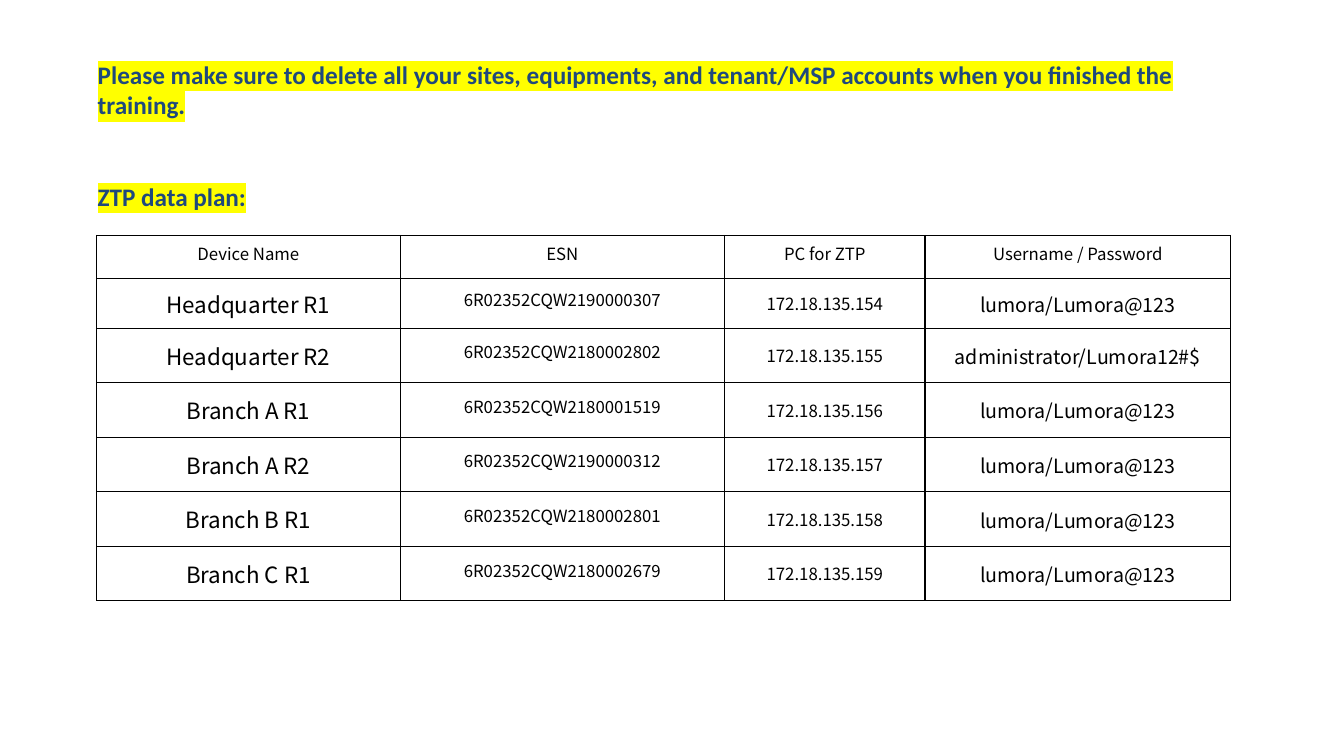
from lxml import etree
from pptx import Presentation
from pptx.dml.color import RGBColor
from pptx.enum.text import MSO_ANCHOR, MSO_AUTO_SIZE, PP_ALIGN
from pptx.oxml.ns import qn
from pptx.util import Pt

LEFT, CENTER = PP_ALIGN.LEFT, PP_ALIGN.CENTER
TOP, MIDDLE = MSO_ANCHOR.TOP, MSO_ANCHOR.MIDDLE
NO_FIT = MSO_AUTO_SIZE.NONE

HEADER = ["Device Name", "ESN", "PC for ZTP", "Username / Password"]
LOGIN = "lumora/Lumora@123"
DEVICES = [
    ("Headquarter R1", "6R02352CQW2190000307", LOGIN),
    ("Headquarter R2", "6R02352CQW2180002802", "administrator/Lumora12#$"),
    ("Branch A R1", "6R02352CQW2180001519", LOGIN),
    ("Branch A R2", "6R02352CQW2190000312", LOGIN),
    ("Branch B R1", "6R02352CQW2180002801", LOGIN),
    ("Branch C R1", "6R02352CQW2180002679", LOGIN),
]
FIRST_HOST = 154
COLUMN_WIDTHS = [216.7, 231.8, 143.3, 218.2]
ROW_HEIGHTS = [31, 35.3] + [39] * 5

# Cell formats: text size, side margin, top and bottom margins, fixed lines
SPACED = {"size": 12, "side": 5, "top": 0, "bottom": 0, "fixed": True}
NAME = {"size": 16, "side": 4.3, "top": 4.3, "bottom": 4.3, "fixed": False}
HOST = {"size": 12, "side": 0, "top": 0, "bottom": 0, "fixed": False}
ACCOUNT = {"size": 14, "side": 0.7, "top": 0.7, "bottom": 0, "fixed": False}
BODY_FORMATS = [NAME, SPACED, HOST, ACCOUNT]


def colour(value):
    return RGBColor.from_string(value)


def set_all(target, values):
    for name, value in values.items():
        setattr(target, name, value)


class Page:
    heading_font, table_font = "Calibri", "Noto Sans CJK SC"
    heading, marker, ink, paper = "1F497D", "FFFF00", "000000", "FFFFFF"

    def __init__(self, deck):
        self.slide = deck.slides.add_slide(deck.slide_layouts[5])

    def add_span(self, para, text, font, size, value, bold=False):
        span = para.add_run()
        span.text = text
        set_all(span.font, {"name": font, "size": Pt(size), "bold": bold})
        span.font.color.rgb = colour(value)
        return span

    def highlighted(self, box, text, wrap):
        frame = box.text_frame
        set_all(frame, {"word_wrap": wrap, "auto_size": NO_FIT, "vertical_anchor": TOP})
        para = frame.paragraphs[0]
        para.alignment = LEFT
        span = self.add_span(para, text, self.heading_font, 18, self.heading, True)
        highlight = etree.Element(qn("a:highlight"))
        etree.SubElement(highlight, qn("a:srgbClr"), val=self.marker)
        span.font._element.find(qn("a:latin")).addprevious(highlight)

    def title(self, text, left, top, width, height):
        box = self.slide.shapes.title
        set_all(box, {"left": Pt(left), "top": Pt(top),
                      "width": Pt(width), "height": Pt(height)})
        self.highlighted(box, text, True)

    def label(self, text, left, top, width, height):
        box = self.slide.shapes.add_textbox(Pt(left), Pt(top), Pt(width), Pt(height))
        self.highlighted(box, text, False)

    def border(self, cell, widths):
        properties = cell._tc.get_or_add_tcPr()
        for position, (side, width) in enumerate(widths.items()):
            line = etree.Element(qn(f"a:{side}"), w=str(Pt(width)))
            fill = etree.SubElement(line, qn("a:solidFill"))
            etree.SubElement(fill, qn("a:srgbClr"), val=self.ink)
            properties.insert(position, line)

    def fill_cell(self, cell, text, style):
        set_all(cell, {"margin_left": Pt(style["side"]), "margin_right": Pt(style["side"]),
                       "margin_top": Pt(style["top"]), "margin_bottom": Pt(style["bottom"]),
                       "vertical_anchor": MIDDLE})
        cell.fill.solid()
        cell.fill.fore_color.rgb = colour(self.paper)
        para = cell.text_frame.paragraphs[0]
        para.alignment = CENTER
        if style["fixed"]:
            set_all(para, {"line_spacing": Pt(12), "space_before": Pt(4),
                           "space_after": Pt(4)})
        self.add_span(para, text, self.table_font, style["size"], self.ink)

    def table(self, rows, left, top):
        frame = self.slide.shapes.add_table(
            len(rows), len(COLUMN_WIDTHS), Pt(left), Pt(top),
            Pt(sum(COLUMN_WIDTHS)), Pt(sum(ROW_HEIGHTS)))
        grid = frame.table
        set_all(grid, {"first_row": False, "horz_banding": False})
        for column, width in zip(grid.columns, COLUMN_WIDTHS):
            column.width = Pt(width)
        for row, height in zip(grid.rows, ROW_HEIGHTS):
            row.height = Pt(height)
        last = len(COLUMN_WIDTHS) - 1
        for r, texts in enumerate(rows):
            for c, text in enumerate(texts):
                cell = grid.cell(r, c)
                self.fill_cell(cell, text, BODY_FORMATS[c] if r else SPACED)
                # The rule before the account column is heavier
                self.border(cell, {"lnL": 1.5 if c == last else 0.75,
                                   "lnR": 1.5 if c == last - 1 else 0.75,
                                   "lnT": 0.75, "lnB": 0.75})


def main():
    deck = Presentation()
    deck.slide_width, deck.slide_height = Pt(960), Pt(540)
    page = Page(deck)

    # Reminder and section heading
    page.title("Please make sure to delete all your sites, equipments, and "
               "tenant/MSP accounts when you finished the training.",
               62.6, 38.9, 816.5, 51)
    page.label("ZTP data plan:", 62.6, 126, 121.7, 29)

    # Device table, with host addresses counted up row by row
    rows = [HEADER] + [
        [name, serial, f"172.18.135.{FIRST_HOST + index}", login]
        for index, (name, serial, login) in enumerate(DEVICES)]
    page.table(rows, 69.1, 168)
    deck.save("out.pptx")


if __name__ == "__main__":
    main()
